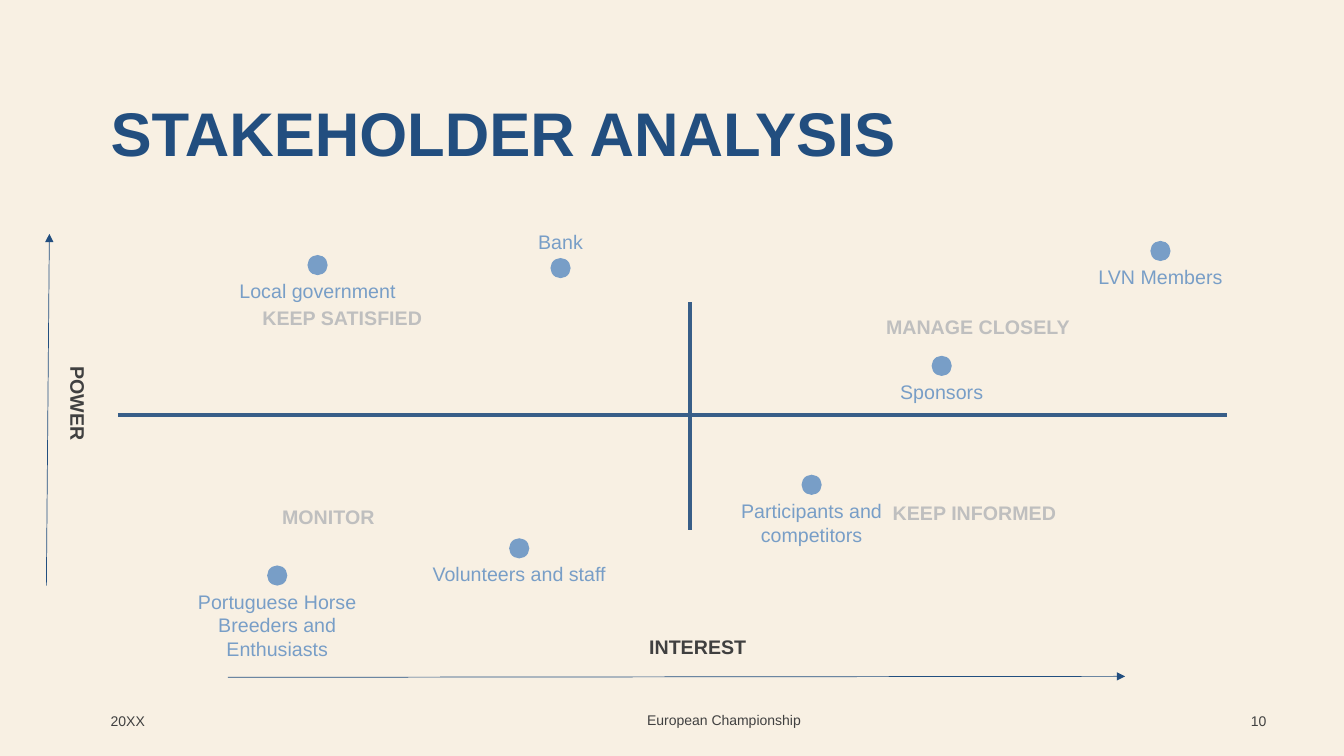
from dataclasses import dataclass

from lxml.etree import SubElement
from pptx import Presentation
from pptx.dml.color import RGBColor
from pptx.enum.shapes import MSO_CONNECTOR as Connector, MSO_SHAPE as Preset
from pptx.enum.text import MSO_ANCHOR as Anchor, PP_ALIGN as Align
from pptx.oxml.ns import qn
from pptx.util import Inches, Pt

COLORS = {
    "background": "F8F0E3",
    "title": "224E7F",
    "axis": "385E88",
    "stakeholder": "789EC7",
    "quadrant": "BFBFBF",
    "dark": "404040",
}
DOT_SIZE = 0.2
LABEL_WIDTH = 2.3
LINE_HEIGHT = 0.24
BELOW_DOT = 0.19
ABOVE_DOT = -0.33


@dataclass(frozen=True)
class Caption:
    text: str
    left: float
    top: float
    width: float = 2.17
    height: float = 0.4
    size: int = 14
    color: str = "dark"
    bold: bool = True
    align: Align = Align.LEFT
    anchor: Anchor = Anchor.TOP
    line_spacing: float = 0.9
    space_before: int = 10
    rotation: int = 0


@dataclass(frozen=True)
class Footer(Caption):
    top: float = 6.95
    size: int = 10
    bold: bool = False
    anchor: Anchor = Anchor.MIDDLE
    line_spacing: float = 1.0
    space_before: int = 0


@dataclass(frozen=True)
class Stakeholder:
    name: str
    left: float
    top: float
    label_offset: float = BELOW_DOT
    lines: int = 1


@dataclass(frozen=True)
class Line:
    start: tuple[float, float]
    end: tuple[float, float]
    color: str
    width: float
    arrow: bool = False


def rgb(name: str) -> RGBColor:
    return RGBColor.from_string(COLORS[name])


def draw_caption(shapes, caption: Caption) -> None:
    box = shapes.add_textbox(
        Inches(caption.left), Inches(caption.top), Inches(caption.width), Inches(caption.height)
    )
    box.rotation = caption.rotation
    frame = box.text_frame
    frame.word_wrap = True
    frame.vertical_anchor = caption.anchor
    frame.text = caption.text
    paragraph = frame.paragraphs[0]
    paragraph.alignment = caption.align
    paragraph.line_spacing = caption.line_spacing
    paragraph.space_before = Pt(caption.space_before)
    font = paragraph.runs[0].font
    font.name = "Arial"
    font.size = Pt(caption.size)
    font.bold = caption.bold
    font.color.rgb = rgb(caption.color)


def draw_stakeholder(shapes, stakeholder: Stakeholder) -> None:
    marker = shapes.add_group_shape().shapes
    draw_caption(marker, Caption(
        stakeholder.name,
        stakeholder.left - (LABEL_WIDTH - DOT_SIZE) / 2,
        stakeholder.top + stakeholder.label_offset,
        LABEL_WIDTH,
        0.1 + LINE_HEIGHT * stakeholder.lines,
        color="stakeholder",
        bold=False,
        align=Align.CENTER,
        line_spacing=1.0,
        space_before=0,
    ))
    dot = marker.add_shape(
        Preset.OVAL, Inches(stakeholder.left), Inches(stakeholder.top),
        Inches(DOT_SIZE), Inches(DOT_SIZE),
    )
    dot.shadow.inherit = False
    dot.fill.solid()
    dot.fill.fore_color.rgb = rgb("stakeholder")
    dot.line.fill.background()


def draw_line(shapes, line: Line) -> None:
    connector = shapes.add_connector(
        Connector.STRAIGHT, *(Inches(value) for value in line.start + line.end)
    )
    connector.line.color.rgb = rgb(line.color)
    connector.line.width = Pt(line.width)
    if line.arrow:
        SubElement(connector.line._get_or_add_ln(), qn("a:tailEnd"), type="triangle")
    SubElement(connector._element.spPr, qn("a:effectLst"))


LINES = [
    Line((1.17, 4.12), (12.17, 4.12), "axis", 3),
    Line((6.84, 3), (6.84, 5.26), "axis", 3),
    Line((2.26, 6.72), (11.16, 6.71), "title", 0.5, arrow=True),
    Line((0.46, 5.81), (0.49, 2.32), "title", 0.5, arrow=True),
]
CAPTIONS = [
    Caption("STAKEHOLDER ANALYSIS", 1, 0.98, 11.5, 1.45, 44, "title", space_before=0),
    Caption("KEEP SATISFIED", 2.31, 3.01, color="quadrant", align=Align.CENTER),
    Caption("MONITOR", 2.7, 4.99, color="quadrant"),
    Caption("MANAGE CLOSELY", 8.54, 3.1, color="quadrant", align=Align.RIGHT),
    Caption("KEEP INFORMED", 8.58, 4.95, color="quadrant", align=Align.CENTER),
    Caption("POWER", -0.37, 4.42, rotation=90),
    Caption("INTEREST", 6.34, 6.28),
    Footer("20XX", 1, width=1.2),
    Footer("European Championship", 5.93, 6.94, 2.5, align=Align.CENTER),
    Footer("10", 12.16, width=0.5, align=Align.RIGHT),
]
STAKEHOLDERS = [
    Stakeholder("Bank", 5.46, 2.56, ABOVE_DOT),
    Stakeholder("Local government", 3.05, 2.53),
    Stakeholder("Sponsors", 9.24, 3.53),
    Stakeholder("Portuguese Horse Breeders and Enthusiasts", 2.65, 5.61, lines=3),
    Stakeholder("LVN Members", 11.41, 2.39),
    Stakeholder("Participants and competitors", 7.95, 4.71, lines=2),
    Stakeholder("Volunteers and staff", 5.05, 5.34),
]

presentation = Presentation()
presentation.slide_width = Inches(13.33)
presentation.slide_height = Inches(7.5)
slide = presentation.slides.add_slide(presentation.slide_layouts[6])
slide.background.fill.solid()
slide.background.fill.fore_color.rgb = rgb("background")

for line in LINES:
    draw_line(slide.shapes, line)
for caption in CAPTIONS:
    draw_caption(slide.shapes, caption)
for stakeholder in STAKEHOLDERS:
    draw_stakeholder(slide.shapes, stakeholder)

presentation.save("out.pptx")
